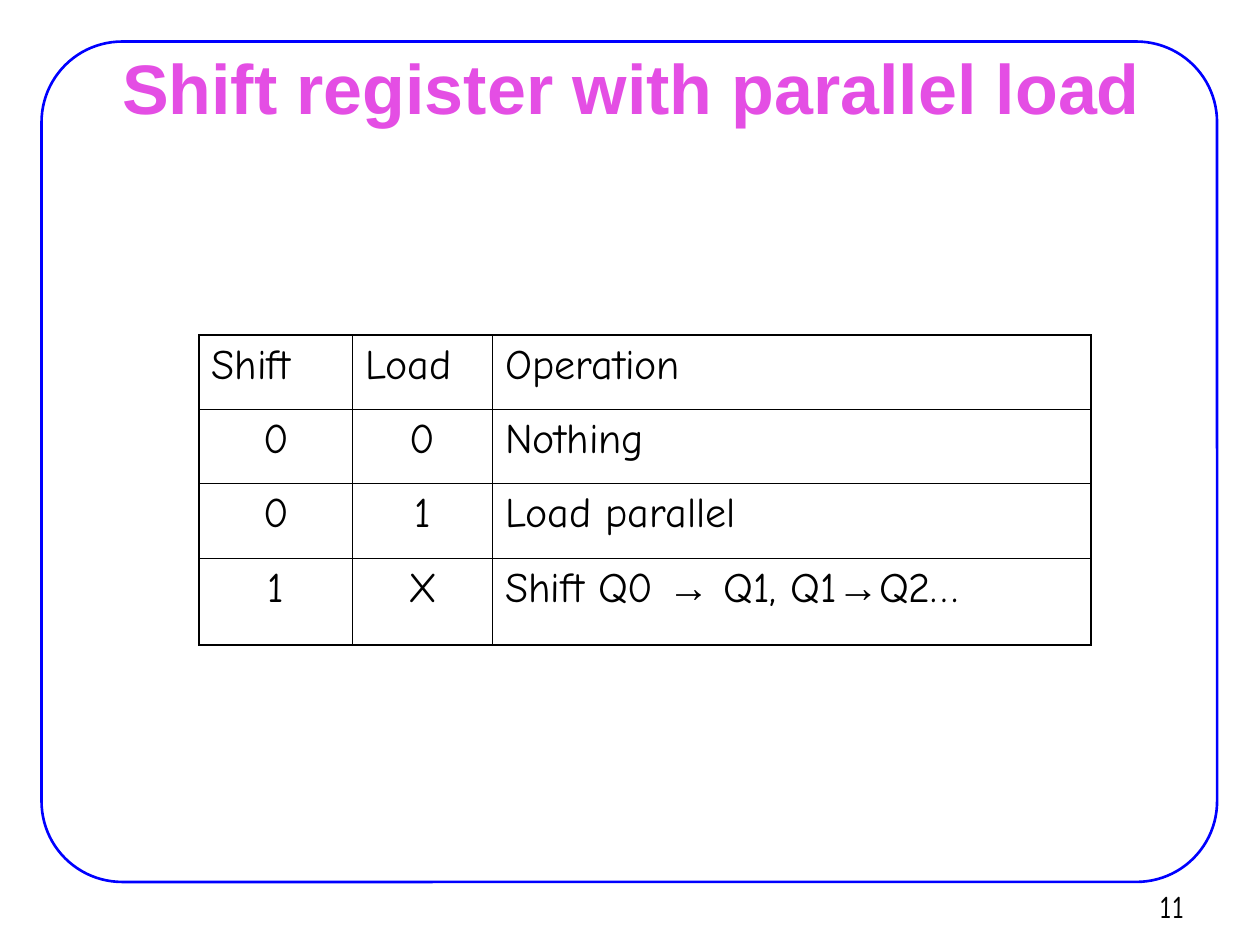
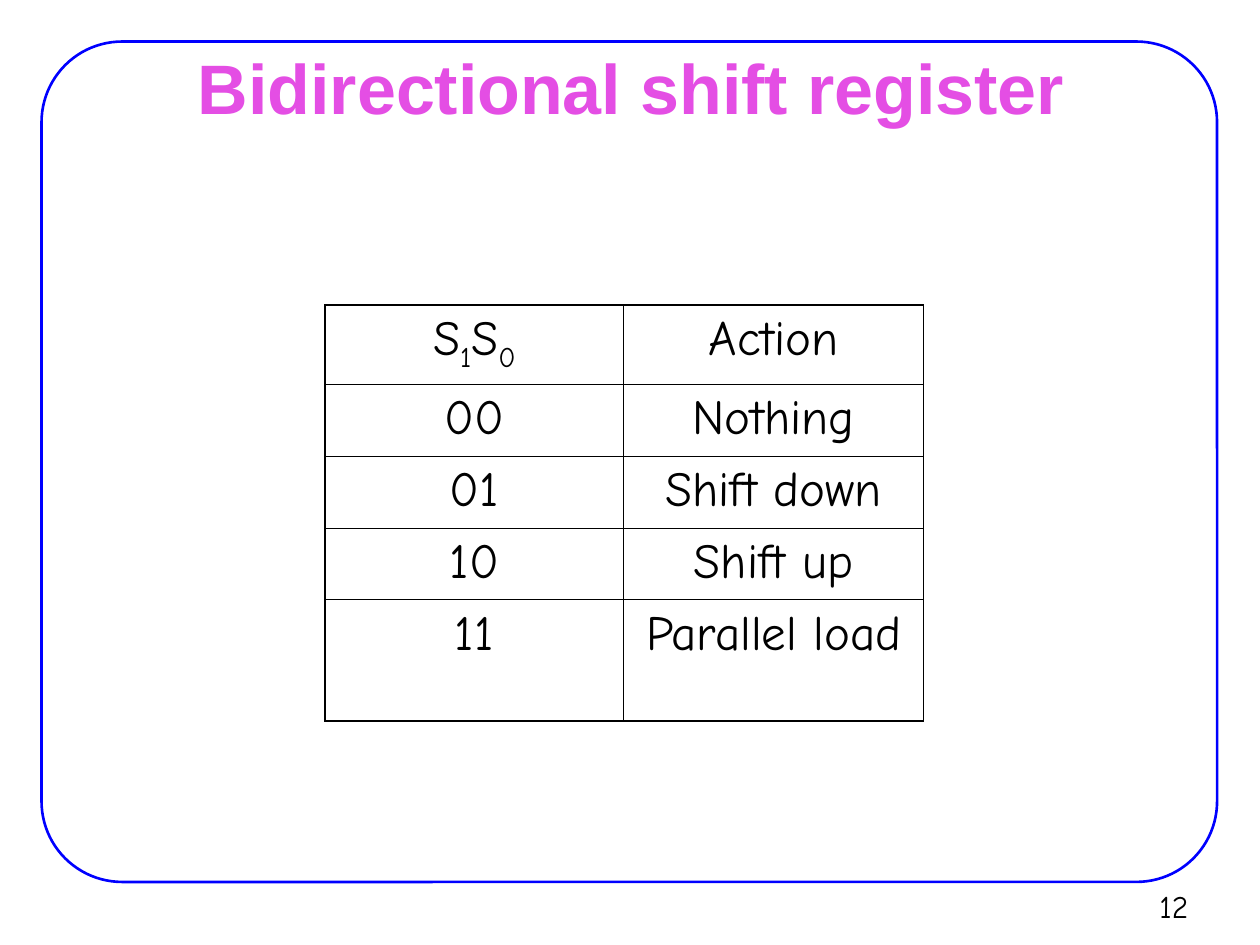
from lxml import etree
from pptx import Presentation
from pptx.dml.color import RGBColor
from pptx.enum.shapes import MSO_SHAPE as SHAPE
from pptx.enum.text import MSO_ANCHOR as ANCHOR, PP_ALIGN as ALIGN
from pptx.oxml.ns import qn
from pptx.util import Inches, Pt

COLORS = {"frame": "0000FF", "title": "E44EE4", "ink": "000000"}
TITLE_FONT, BODY_FONT = "Arial", "Comic Neue"
OUTER, INNER = Pt(1.08), Pt(0.45)
LEFT, CENTER = ALIGN.LEFT, ALIGN.CENTER

LOAD_ROWS = [
    ["Shift", "Load", "Operation"],
    ["0", "0", "Nothing"],
    ["0", "1", "Load parallel"],
    ["1", "X", [("Shift Q0 ", {}), ("→", {"font": TITLE_FONT}), (" Q1, Q1", {}),
                ("→", {"font": TITLE_FONT}), ("Q2…", {})]],
]
ACTION_ROWS = [
    [[("S", {}), ("1", {"sub": True}), ("S", {}), ("0", {"sub": True})], "Action"],
    ["00", "Nothing"],
    ["01", "Shift down"],
    ["10", "Shift up"],
    ["11", "Parallel load"],
]


def add_run(p, text, size, font=BODY_FONT, color="ink", bold=False, sub=False):
    """Append one styled run to a paragraph."""
    r = p.add_run()
    r.text = text
    r.font.size, r.font.name, r.font.bold = Pt(size), font, bold
    r.font.color.rgb = RGBColor.from_string(COLORS[color])
    if sub:
        r.font._element.set("baseline", "-25000")


def add_frame(s):
    """Draw the rounded outline around the slide content."""
    sp = s.shapes.add_shape(SHAPE.ROUNDED_RECTANGLE, Inches(0.33), Inches(0.33),
                            Inches(9.33), Inches(6.67))
    sp.adjustments[0] = 0.096
    sp.shadow.inherit = False
    sp.fill.background()
    sp.line.color.rgb = RGBColor.from_string(COLORS["frame"])
    sp.line.width = Pt(1.5)


def add_text(s, box, text, size, align=LEFT, anchor=ANCHOR.TOP, **style):
    """Add a one-line text box."""
    tf = s.shapes.add_textbox(*map(Inches, box)).text_frame
    tf.word_wrap = True
    tf.vertical_anchor = anchor
    p = tf.paragraphs[0]
    p.alignment = align
    add_run(p, text, size, **style)


def set_borders(cell, widths):
    """Give a cell its left, right, top and bottom lines."""
    tc_pr = cell._tc.get_or_add_tcPr()
    for i, (side, width) in enumerate(zip("LRTB", widths)):
        ln = etree.Element(qn(f"a:ln{side}"), w=str(int(width)))
        fill = etree.SubElement(ln, qn("a:solidFill"))
        etree.SubElement(fill, qn("a:srgbClr"), val=COLORS["ink"])
        tc_pr.insert(i, ln)


def fill_cell(cell, content, size, space, align):
    """Write plain text or a list of styled runs into a cell."""
    cell.fill.background()
    p = cell.text_frame.paragraphs[0]
    p.alignment, p.space_before = align, Pt(space)
    runs = [(content, {})] if isinstance(content, str) else content
    for text, style in runs:
        add_run(p, text, size, **style)


def add_grid(s, at, widths, heights, rows, size, space, head, body):
    """Add a table with a heavier outer border; head and body align columns."""
    n_rows, n_cols = len(rows), len(widths)
    extent = (*at, sum(widths), sum(heights))
    table = s.shapes.add_table(n_rows, n_cols, *map(Inches, extent)).table
    table.first_row = table.horz_banding = False
    for col, width in zip(table.columns, widths):
        col.width = Inches(width)
    for i, (row, height) in enumerate(zip(rows, heights)):
        table.rows[i].height = Inches(height)
        for j, content in enumerate(row):
            cell = table.cell(i, j)
            fill_cell(cell, content, size, space, (body if i else head)[j])
            edges = (j == 0, j == n_cols - 1, i == 0, i == n_rows - 1)
            set_borders(cell, [OUTER if edge else INNER for edge in edges])


def add_slide(prs, title, number):
    """Add a slide with the shared frame, title and page number."""
    s = prs.slides.add_slide(prs.slide_layouts[6])
    add_frame(s)
    add_text(s, (0.76, 0.44, 8.5, 0.49), title, 40, CENTER, ANCHOR.MIDDLE,
             font=TITLE_FONT, color="title", bold=True)
    add_text(s, (9.02, 6.99, 0.61, 0.37), f" {number}", 18)
    return s


def main():
    """Build and save the presentation."""
    prs = Presentation()
    prs.slide_width, prs.slide_height = Inches(10), Inches(7.5)

    s = add_slide(prs, "Shift register with parallel load", 11)
    add_grid(s, (1.58, 2.66), [1.22, 1.11, 4.75], [0.59] * 3 + [0.69], LOAD_ROWS,
             24, 6, [LEFT] * 3, [CENTER, CENTER, LEFT])

    s = add_slide(prs, "Bidirectional shift register", 12)
    add_grid(s, (2.58, 2.42), [2.37, 2.38], [0.63] + [0.57] * 3 + [0.96], ACTION_ROWS,
             28, 7, [CENTER] * 2, [CENTER] * 2)

    prs.save("out.pptx")


if __name__ == "__main__":
    main()
